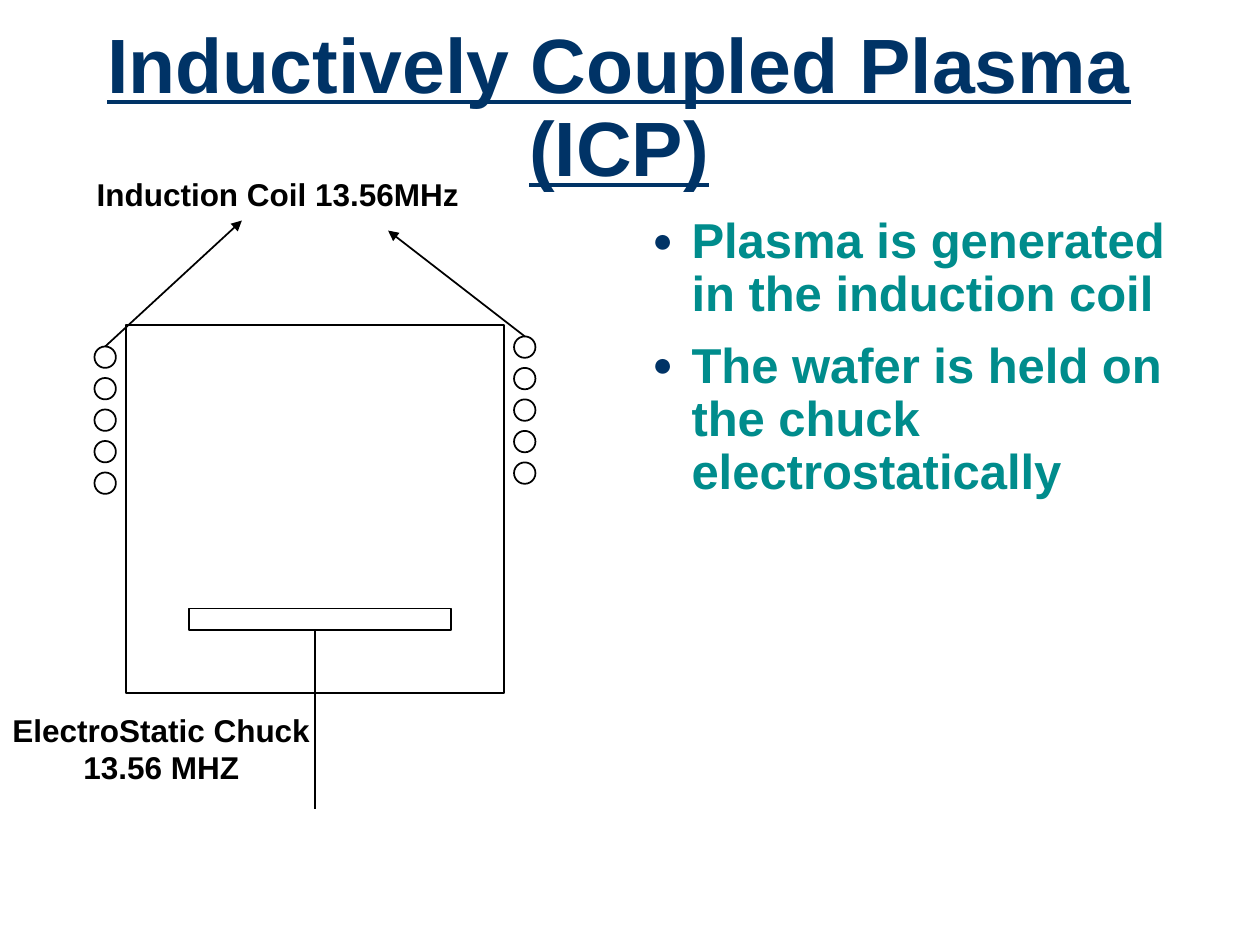
from lxml import etree
from pptx import Presentation
from pptx.dml.color import RGBColor
from pptx.enum.shapes import MSO_CONNECTOR as CONN, MSO_SHAPE as SHAPE
from pptx.enum.text import MSO_ANCHOR as ANCHOR, MSO_AUTO_SIZE as AUTO, PP_ALIGN as ALIGN
from pptx.oxml.ns import qn
from pptx.util import Inches, Pt

NAVY = RGBColor(0x00, 0x33, 0x66)
TEAL = RGBColor(0x00, 0x8C, 0x8C)
BLACK = RGBColor(0, 0, 0)
WHITE = RGBColor(255, 255, 255)

TITLE = "Inductively Coupled Plasma (ICP)"
BULLETS = [
    "Plasma is generated in the induction coil",
    "The wafer is held on the chuck electrostatically",
]
LABELS = [
    (["Induction Coil 13.56MHz"], (0.65, 1.34, 3.11, 0.4)),
    (["ElectroStatic Chuck", "13.56 MHZ"], (0, 5.59, 2.56, 0.7)),
]
CHAMBER = (1, 2.58, 3, 2.92)
CHUCK = (1.5, 4.83, 2.08, 0.17)
STEM = ((2.5, 5), (2.5, 6.42))
COILS = [
    ((0.75, 2.75), (1.92, 1.75)),
    ((4.08, 2.67), (3.08, 1.83)),
]
TURNS, TURN_SIZE, TURN_PITCH = 5, 0.17, 0.25
LINE_SPACING = 0.9


def add_outline(shapes, kind, box):
    sp = shapes.add_shape(kind, *map(Inches, box))
    sp.shadow.inherit = False
    sp.fill.solid()
    sp.fill.fore_color.rgb = WHITE
    sp.line.color.rgb = BLACK
    sp.line.width = Pt(1)


def add_line(start, end, arrow=False):
    line = s.shapes.add_connector(CONN.STRAIGHT, *map(Inches, start + end))
    line.line.color.rgb = BLACK
    line.line.width = Pt(1)
    if arrow:
        ln = line._element.spPr.find(qn("a:ln"))
        etree.SubElement(ln, qn("a:tailEnd"), type="triangle")
    etree.SubElement(line._element.spPr, qn("a:effectLst"))


def add_bullet(p):
    pPr = p._p.get_or_add_pPr()
    pPr.set("marL", str(Inches(0.31)))
    pPr.set("indent", str(-Inches(0.31)))
    color = etree.SubElement(pPr, qn("a:buClr"))
    etree.SubElement(color, qn("a:srgbClr"), val=str(NAVY))
    etree.SubElement(pPr, qn("a:buSzPct"), val="70000")
    etree.SubElement(pPr, qn("a:buFont"), typeface="Arial")
    etree.SubElement(pPr, qn("a:buChar"), char="●")


def add_text(lines, box, size, color, align=ALIGN.CENTER, anchor=ANCHOR.MIDDLE,
             wrap=True, underline=False, bullets=False, spacing=None):
    tf = s.shapes.add_textbox(*map(Inches, box)).text_frame
    tf.word_wrap = wrap
    tf.auto_size = AUTO.NONE if wrap else AUTO.SHAPE_TO_FIT_TEXT
    tf.vertical_anchor = anchor
    for i, line in enumerate(lines):
        p = tf.add_paragraph() if i else tf.paragraphs[0]
        p.alignment = align
        if spacing:
            p.line_spacing = spacing
        if bullets:
            p.space_before = Pt(10.5 if i else 0)
            add_bullet(p)
        r = p.add_run()
        r.text = line
        r.font.name = "Arial"
        r.font.size = Pt(size)
        r.font.bold = True
        r.font.underline = underline
        r.font.color.rgb = color


prs = Presentation()
prs.slide_width, prs.slide_height = Inches(10), Inches(7.5)
s = prs.slides.add_slide(prs.slide_layouts[6])

add_text([TITLE], (0.25, 0.25, 9.33, 1.25), 44, NAVY, underline=True, spacing=LINE_SPACING)
add_text(BULLETS, (5.08, 1.67, 4.58, 4.83), 28, TEAL, align=ALIGN.LEFT,
         anchor=ANCHOR.TOP, bullets=True, spacing=LINE_SPACING)

add_outline(s.shapes, SHAPE.RECTANGLE, CHAMBER)
for (left, top), _ in COILS:
    coil = s.shapes.add_group_shape()
    for i in range(TURNS):
        add_outline(coil.shapes, SHAPE.OVAL, (left, top + i * TURN_PITCH, TURN_SIZE, TURN_SIZE))
add_outline(s.shapes, SHAPE.RECTANGLE, CHUCK)
add_line(*STEM)
for (left, top), tip in COILS:
    add_line((left + TURN_SIZE / 2, top), tip, arrow=True)

for lines, box in LABELS:
    add_text(lines, box, 18, BLACK, wrap=False)

prs.save("out.pptx")
